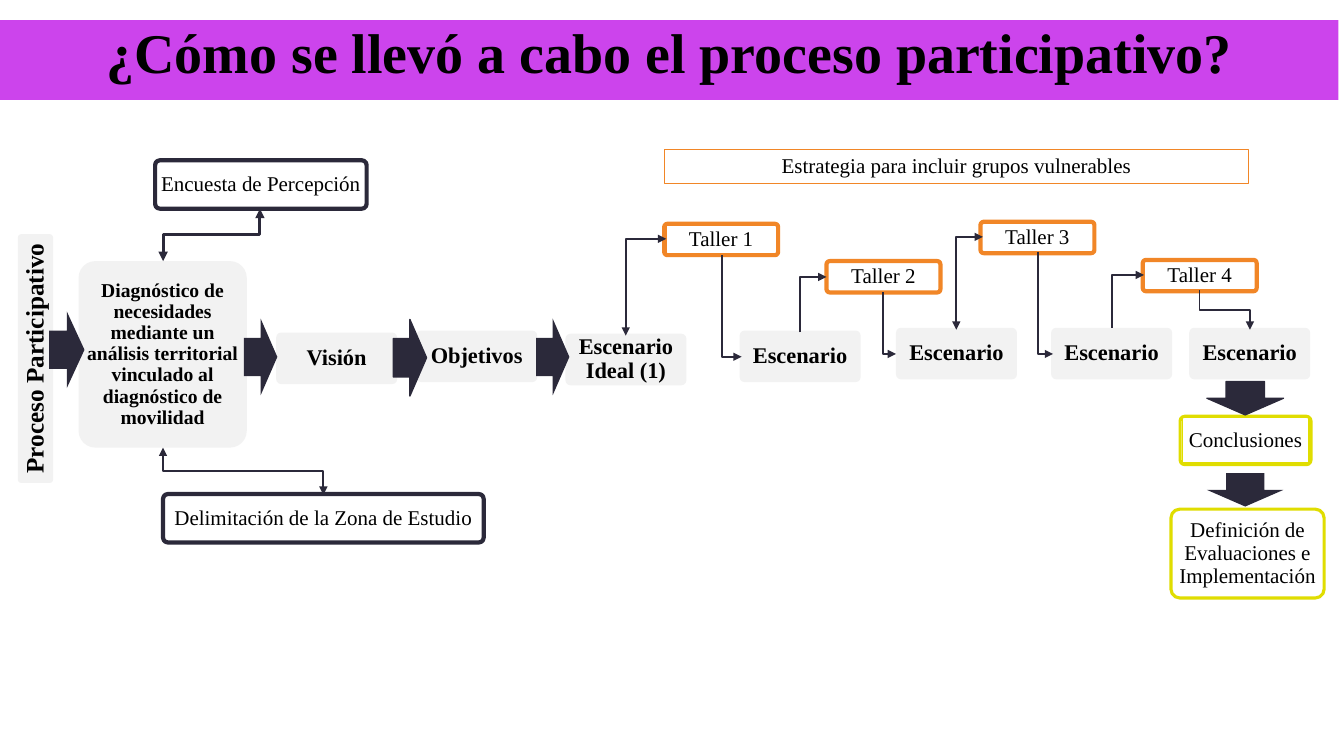
from dataclasses import dataclass

from lxml.etree import SubElement
from pptx import Presentation
from pptx.dml.color import RGBColor
from pptx.enum.shapes import MSO_CONNECTOR as Link, MSO_SHAPE as Form
from pptx.enum.text import MSO_ANCHOR as Anchor, PP_ALIGN as Align
from pptx.oxml.ns import qn
from pptx.shapes.autoshape import Shape
from pptx.shapes.shapetree import SlideShapes
from pptx.util import Cm, Pt

BLACK = RGBColor(0x00, 0x00, 0x00)
WHITE = RGBColor(0xFF, 0xFF, 0xFF)
GRAY = RGBColor(0xF2, 0xF2, 0xF2)
DARK = RGBColor(0x2B, 0x29, 0x3A)
ORANGE = RGBColor(0xF1, 0x86, 0x27)
YELLOW = RGBColor(0xE0, 0xDD, 0x00)
PURPLE = RGBColor(0xCC, 0x44, 0xEC)
FONT = "Times New Roman"


@dataclass
class Style:
    fill: RGBColor | None = None
    line: RGBColor | None = None
    width: float = 0
    size: float = 15
    bold: bool = False
    form: Form = Form.ROUNDED_RECTANGLE


@dataclass
class Box:
    text: str
    x: float
    y: float
    w: float
    h: float
    style: Style
    turn: float = 0


@dataclass
class Elbow:
    start: tuple[float, float]
    end: tuple[float, float]
    width: float = 1.5
    both: bool = False
    bends: int = 1


STEP = Style(fill=GRAY, size=16, bold=True)
NEED = Style(fill=GRAY, size=14, bold=True)
LABEL = Style(fill=GRAY, size=18, bold=True)
SOURCE = Style(WHITE, DARK, 3)
SHOP = Style(None, ORANGE, 3)
RESULT = Style(WHITE, YELLOW, 2.25)
PLAN = Style(None, ORANGE, 0.75, form=Form.RECTANGLE)
INNER = Style(None, YELLOW, 0.75, form=Form.RECTANGLE)
TITLE = Style(PURPLE, size=40, bold=True, form=Form.RECTANGLE)
ARROW = Style(DARK, form=Form.RIGHT_ARROW)
EDGED = Style(DARK, DARK, 1, form=Form.RIGHT_ARROW)

STEP_W, STEP_H = 3.05, 1.3
SHOP_W, SHOP_H = 2.87, 0.79
ARROW_W, ARROW_H = 0.84, 1.93

steps = [
    ("Visión", 6.96, 8.38),
    ("Objetivos", 10.49, 8.33),
    ("Escenario Ideal (1)", 14.25, 8.41),
    ("Escenario", 18.64, 8.33),
    ("Escenario", 22.58, 8.26),
    ("Escenario", 26.49, 8.26),
    ("Escenario", 29.97, 8.26),
]
shops = [(16.74, 5.64), (20.83, 6.58), (24.71, 5.59), (28.8, 6.55)]

boxes = [
    Box("Proceso Participativo", -2.24, 8.59, 6.27, 0.89, LABEL, 270),
    Box("Encuesta de Percepción", 3.91, 4.04, 5.33, 1.22, SOURCE),
    Box("Diagnóstico de necesidades mediante un análisis territorial "
        "vinculado al diagnóstico de movilidad", 1.98, 6.58, 4.24, 4.7, NEED),
    Box("Delimitación de la Zona de Estudio", 4.11, 12.45, 8.08, 1.22, SOURCE),
    *(Box(text, x, y, STEP_W, STEP_H, STEP) for text, x, y in steps),
    *(Box(f"Taller {n}", x, y, SHOP_W, SHOP_H, SHOP)
      for n, (x, y) in enumerate(shops, 1)),
    Box("", 16.79, 5.64, 2.79, 0.74, PLAN),
    Box("Conclusiones", 29.74, 10.49, 3.3, 1.22, RESULT),
    Box("", 29.79, 10.52, 3.2, 1.14, INNER),
    Box("Definición de Evaluaciones e Implementación",
        29.51, 12.83, 3.86, 2.24, RESULT),
    Box("Estrategia para incluir grupos vulnerables",
        16.74, 3.78, 14.73, 0.84, PLAN),
    Box("", 1.24, 7.85, 0.89, ARROW_H, ARROW),
    Box("", 6.15, 8.03, ARROW_W, ARROW_H, ARROW),
    Box("", 9.91, 8.05, ARROW_W, ARROW_H, EDGED),
    Box("", 13.51, 8.03, ARROW_W, ARROW_H, ARROW),
    Box("", 30.96, 9.07, ARROW_W, ARROW_H, EDGED, 90),
    Box("", 30.96, 11.38, ARROW_W, ARROW_H, ARROW, 90),
]

elbows = [
    Elbow((6.55, 5.26), (4.11, 6.58), 2.25, True, 2),
    Elbow((4.11, 11.28), (8.15, 12.47), 1.5, True, 2),
    Elbow((15.77, 8.46), (16.79, 6.02), both=True),
    Elbow((18.19, 6.43), (18.69, 8.99)),
    Elbow((20.17, 8.38), (20.83, 6.98)),
    Elbow((22.25, 7.37), (22.58, 8.92)),
    Elbow((24.1, 8.31), (24.77, 5.97), both=True),
    Elbow((26.16, 6.35), (26.54, 8.92), 1),
    Elbow((28.02, 8.26), (28.83, 6.93), 1),
    Elbow((30.23, 7.32), (31.5, 8.31), 1, bends=2),
]


def write(shape: Shape, text: str, style: Style) -> None:
    frame = shape.text_frame
    frame.word_wrap = True
    frame.vertical_anchor = Anchor.MIDDLE
    frame.margin_left = frame.margin_right = Cm(0.03)
    frame.margin_top = frame.margin_bottom = Cm(0.03)
    para = frame.paragraphs[0]
    para.alignment = Align.CENTER
    para.line_spacing = 0.9
    run = para.add_run()
    run.text = text
    run.font.name = FONT
    run.font.size = Pt(style.size)
    run.font.bold = style.bold
    run.font.color.rgb = BLACK


def draw_box(shapes: SlideShapes, box: Box) -> Shape:
    style = box.style
    shape = shapes.add_shape(style.form, Cm(box.x), Cm(box.y), Cm(box.w), Cm(box.h))
    shape.shadow.inherit = False
    shape.rotation = box.turn
    if style.form == Form.ROUNDED_RECTANGLE:
        shape.adjustments[0] = 0.1
    if style.fill is None:
        shape.fill.background()
    else:
        shape.fill.solid()
        shape.fill.fore_color.rgb = style.fill
    if style.line is None:
        shape.line.fill.background()
    else:
        shape.line.color.rgb = style.line
        shape.line.width = Pt(style.width)
    if box.text:
        write(shape, box.text, style)
    return shape


def draw_elbow(shapes: SlideShapes, elbow: Elbow) -> None:
    """Draw a link that leaves its start vertically."""
    (x1, y1), (x2, y2) = elbow.start, elbow.end
    right, down = x2 > x1, y2 > y1
    # The frame is laid on its side about the midpoint, then turned
    mid_x, mid_y = (x1 + x2) / 2, (y1 + y2) / 2
    dx = abs(y2 - y1) / 2 * (-1 if right else 1)
    dy = abs(x2 - x1) / 2 * (-1 if right and not down else 1)
    link = shapes.add_connector(Link.ELBOW, Cm(mid_x - dx), Cm(mid_y - dy),
                                Cm(mid_x + dx), Cm(mid_y + dy))
    link.rotation = 270 if right and down else 90
    link.line.color.rgb = DARK
    link.line.width = Pt(elbow.width)
    props = link._element.spPr
    props.find(qn("a:prstGeom")).set("prst", f"bentConnector{elbow.bends + 1}")
    line = props.find(qn("a:ln"))
    for end in ("headEnd", "tailEnd") if elbow.both else ("tailEnd",):
        SubElement(line, qn(f"a:{end}"), type="triangle")
    SubElement(props, qn("a:effectLst"))


def main() -> None:
    deck = Presentation()
    deck.slide_width, deck.slide_height = Cm(33.87), Cm(19.05)
    shapes = deck.slides.add_slide(deck.slide_layouts[6]).shapes

    # Process boxes and block arrows
    for box in boxes:
        draw_box(shapes, box)

    # Links between workshops and scenarios
    for elbow in elbows:
        draw_elbow(shapes, elbow)

    # Title band
    title = draw_box(shapes, Box("¿Cómo se llevó a cabo el proceso participativo?",
                                 0, 0.51, 33.73, 2.01, TITLE))
    title.text_frame.vertical_anchor = Anchor.TOP
    title.text_frame.margin_top = Cm(0.13)

    deck.save("out.pptx")


if __name__ == "__main__":
    main()
